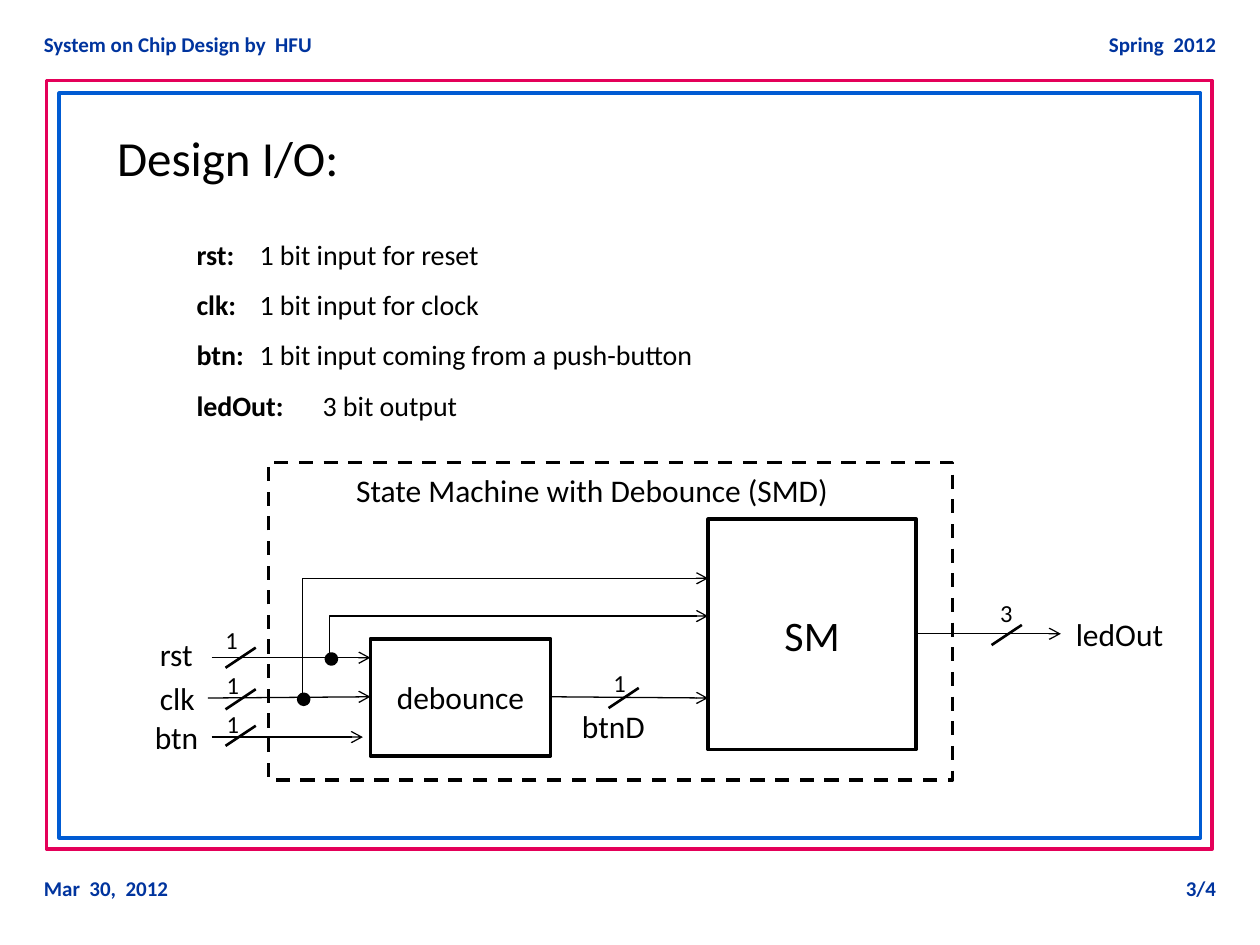
from lxml import etree
from pptx import Presentation
from pptx.dml.color import RGBColor
from pptx.enum.dml import MSO_LINE
from pptx.enum.shapes import MSO_CONNECTOR, MSO_SHAPE
from pptx.enum.text import MSO_ANCHOR, MSO_AUTO_SIZE, PP_ALIGN
from pptx.oxml.ns import qn
from pptx.util import Inches, Pt

BLACK = RGBColor(0, 0, 0)
NAVY = RGBColor(0x00, 0x34, 0x9E)
RED = RGBColor(0xE4, 0x00, 0x59)
BLUE = RGBColor(0x00, 0x5B, 0xD3)
FONT = "Calibri"

# Content: text, left, top, width, alignment
MARGIN_NOTES = [
    ("System on Chip Design by  HFU", 0.25, 0.2, 2.86, PP_ALIGN.LEFT),
    ("Spring  2012", 8.49, 0.2, 1.26, PP_ALIGN.RIGHT),
    ("Mar  30,  2012", 0.25, 6.9, 1.98, PP_ALIGN.LEFT),
    ("3/4", 8.49, 6.9, 1.26, PP_ALIGN.RIGHT),
]
TITLE = "Design I/O:"
PORTS = [
    ("rst: ", "1 bit input for reset"),
    ("clk: ", "1 bit input for clock"),
    ("btn: ", "1 bit input coming from a push-button"),
    ("ledOut: ", "3 bit output"),
]

# Boxes: left, top, width, height, line colour
FRAMES = [(0.37, 0.64, 9.25, 6.1, RED), (0.47, 0.74, 9.06, 5.91, BLUE)]
BLOCKS = [
    ("SM", 24, 5.62, 4.12, 1.65, 1.83),
    ("debounce", 18, 2.94, 5.07, 1.43, 0.93),
]
SYSTEM_BOX = (2.13, 3.67, 5.43, 2.52)
SYSTEM_NAME = "State Machine with Debounce (SMD)"

# Signal names: text, left, top, width
SIGNALS = [
    ("rst", 1.17, 4.99, 0.46),
    ("clk", 1.17, 5.34, 0.48),
    ("btn", 1.13, 5.65, 0.55),
    ("ledOut", 8.44, 4.83, 0.9),
    ("btnD", 4.52, 5.56, 0.71),
]
# Bus widths: bit count, its left and top, then left and top of the slash
BUS_WIDTHS = [
    ("1", 1.69, 4.91, 1.79, 5.14),
    ("1", 1.7, 5.27, 1.79, 5.47),
    ("1", 1.7, 5.58, 1.79, 5.76),
    ("3", 7.84, 4.7, 7.87, 4.96),
    ("1", 4.77, 5.25, 4.83, 5.46),
]
SLASH = (0.24, 0.16)

# Wires: x and y of the start, x and y of the end
ARROWS = [
    (4.37, 5.53, 5.62, 5.54),
    (1.68, 5.85, 2.88, 5.85),
    (1.65, 5.54, 2.94, 5.53),
    (1.68, 5.22, 2.94, 5.22),
    (2.4, 4.59, 5.62, 4.59),
    (7.27, 5.03, 8.42, 5.03),
]
CLOCK_RISER = (2.4, 5.54, 2.4, 4.59)
RESET_BRANCH = (2.26, 5.22, 5.62, 4.89)
RESET_BEND = 0.106
JUNCTIONS = [(2.59, 5.19), (2.37, 5.51)]
DOT = 0.08

presentation = Presentation()
presentation.slide_width, presentation.slide_height = Inches(10), Inches(7.5)
slide = presentation.slides.add_slide(presentation.slide_layouts[1])
shapes = slide.shapes


def style_run(run, size, color=BLACK, bold=False):
    run.font.name, run.font.size, run.font.bold = FONT, Pt(size), bold
    run.font.color.rgb = color


def place(shape, left, top, width, height):
    shape.left, shape.top = Inches(left), Inches(top)
    shape.width, shape.height = Inches(width), Inches(height)


def add_label(text, size, left, top, width, height, align=PP_ALIGN.LEFT,
              color=BLACK, bold=False, wrap=False):
    box = shapes.add_textbox(*map(Inches, (left, top, width, height)))
    box.text_frame.word_wrap = wrap
    paragraph = box.text_frame.paragraphs[0]
    paragraph.text, paragraph.alignment = text, align
    style_run(paragraph.runs[0], size, color, bold)


def add_box(left, top, width, height, color=BLACK, kind=MSO_SHAPE.RECTANGLE):
    shape = shapes.add_shape(kind, *map(Inches, (left, top, width, height)))
    shape.shadow.inherit = False
    shape.fill.background()
    shape.line.color.rgb, shape.line.width = color, Pt(2)
    return shape


def add_wire(points, width=0.75, arrow=False, kind=MSO_CONNECTOR.STRAIGHT):
    wire = shapes.add_connector(kind, *map(Inches, points))
    wire.line.color.rgb, wire.line.width = BLACK, Pt(width)
    properties = wire._element.spPr
    etree.SubElement(properties, qn("a:effectLst"))
    if arrow:
        etree.SubElement(properties.find(qn("a:ln")), qn("a:tailEnd"), type="arrow")
    return wire


# Frames and margin notes
for frame in FRAMES:
    add_box(*frame)
for text, left, top, width, align in MARGIN_NOTES:
    add_label(text, 12, left, top, width, 0.3, align, NAVY, bold=True, wrap=True)

# Title
title = shapes.title
place(title, 0.83, 0.96, 2.2, 0.57)
title.text_frame.text = TITLE
title.text_frame.auto_size = MSO_AUTO_SIZE.NONE
title.text_frame.paragraphs[0].alignment = PP_ALIGN.LEFT
style_run(title.text_frame.paragraphs[0].runs[0], 28)

# Port list
body = slide.placeholders[1]
place(body, 1.46, 1.7, 5.4, 1.72)
body.text_frame.auto_size = MSO_AUTO_SIZE.NONE
for index, (port, meaning) in enumerate(PORTS):
    frame = body.text_frame
    paragraph = frame.paragraphs[0] if index == 0 else frame.add_paragraph()
    paragraph.line_spacing, paragraph.space_before = 1.5, Pt(0)
    properties = paragraph._p.get_or_add_pPr()
    properties.set("marL", "0")
    properties.set("indent", "0")
    etree.SubElement(properties, qn("a:buNone"))
    for text, bold in ((port + "\t", True), (meaning, False)):
        run = paragraph.add_run()
        run.text = text
        style_run(run, 16, bold=bold)

# Blocks
for text, size, *bounds in BLOCKS:
    block = add_box(*bounds)
    block.text_frame.vertical_anchor = MSO_ANCHOR.MIDDLE
    paragraph = block.text_frame.paragraphs[0]
    paragraph.text, paragraph.alignment = text, PP_ALIGN.CENTER
    style_run(paragraph.runs[0], size)
add_box(*SYSTEM_BOX).line.dash_style = MSO_LINE.DASH
add_label(SYSTEM_NAME, 18, 2.2, 3.69, 5, 0.4, PP_ALIGN.CENTER, wrap=True)

# Wires and junctions
for points in ARROWS:
    add_wire(points, arrow=True)
add_wire(CLOCK_RISER)
branch = add_wire(RESET_BRANCH, arrow=True, kind=MSO_CONNECTOR.ELBOW)
guides = branch._element.spPr.find(qn("a:prstGeom")).find(qn("a:avLst"))
etree.SubElement(guides, qn("a:gd"), name="adj1", fmla=f"val {RESET_BEND * 100000:.0f}")
for left, top in JUNCTIONS:
    dot = add_box(left, top, DOT, DOT, kind=MSO_SHAPE.OVAL)
    dot.fill.solid()
    dot.fill.fore_color.rgb = BLACK

# Signal names and bus widths
for text, left, top, width in SIGNALS:
    add_label(text, 18, left, top, width, 0.4)
for bits, left, top, slash_left, slash_top in BUS_WIDTHS:
    add_label(bits, 14, left, top, 0.3, 0.34)
    add_wire((slash_left + SLASH[0], slash_top, slash_left, slash_top + SLASH[1]), 1.5)

presentation.save("out.pptx")
